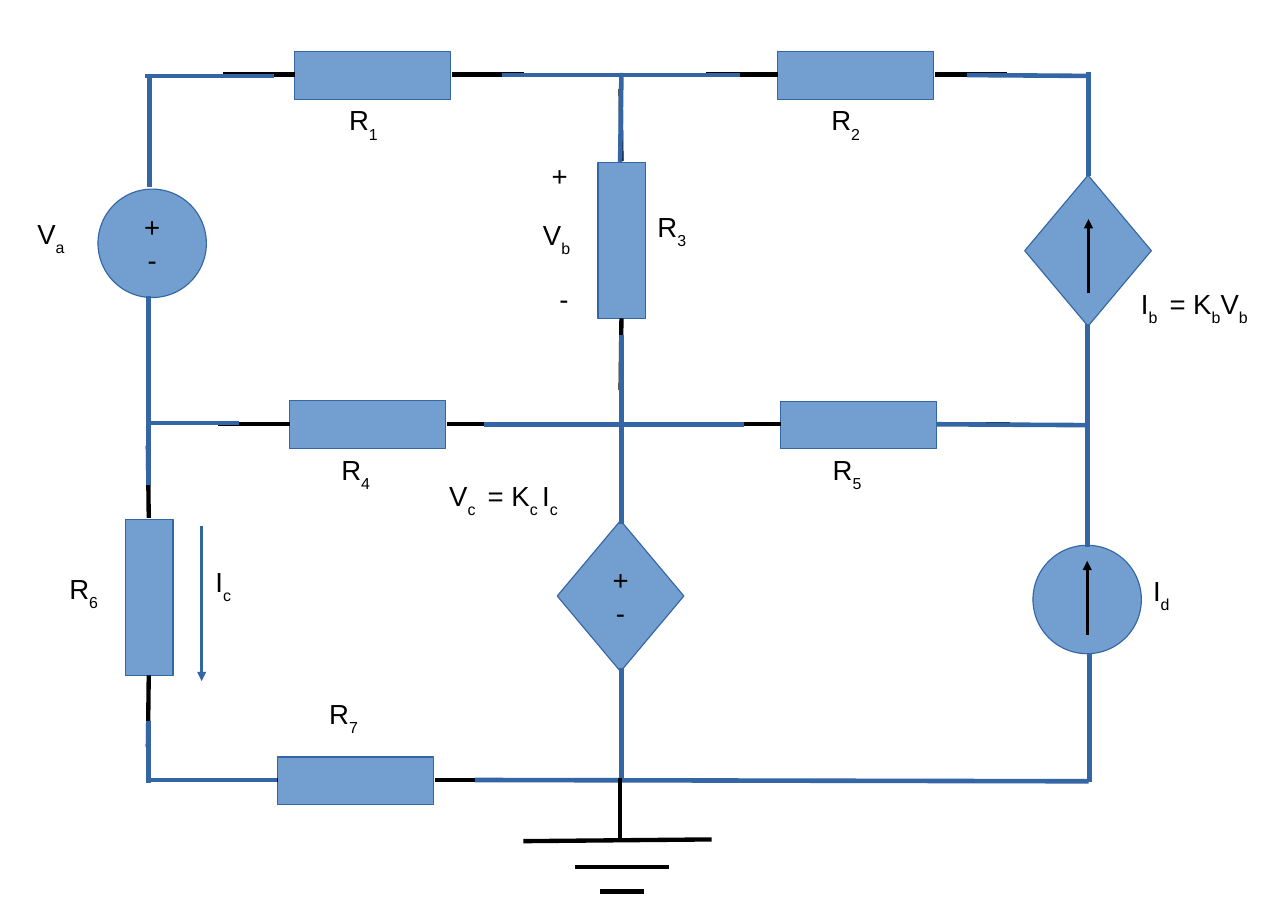
from dataclasses import dataclass

import lxml.etree
import pptx
import pptx.dml.color
import pptx.enum.shapes
import pptx.enum.text
import pptx.oxml.ns
import pptx.shapes.autoshape
import pptx.slide
import pptx.text.text
import pptx.util

BLACK = pptx.dml.color.RGBColor(0x00, 0x00, 0x00)
FILL_BLUE = pptx.dml.color.RGBColor(0x72, 0x9F, 0xCF)
LINE_BLUE = pptx.dml.color.RGBColor(0x34, 0x65, 0xA4)

Cm = pptx.util.Cm
Kind = pptx.enum.shapes.MSO_SHAPE

HAIRLINE = 0
LEAD_WIDTH = 2.83
WIRE_WIDTH = 3
RESISTOR_LENGTH = 3.6
RESISTOR_BREADTH = 1.1
DIAMOND_SIZE = (2.92, 3.48)
CIRCLE_SIZE = (2.5, 2.5)


@dataclass(frozen=True)
class Resistor:
    x: float
    y: float
    vertical: bool = False


@dataclass(frozen=True)
class Source:
    kind: Kind
    x: float
    y: float
    size: tuple[float, float]
    polarity: str = ""


@dataclass(frozen=True)
class Segment:
    x1: float
    y1: float
    x2: float
    y2: float


@dataclass(frozen=True)
class Label:
    x: float
    y: float
    wording: tuple[str, ...]
    width: float = 1.63


SOURCES = [
    Source(Kind.DIAMOND, 14.31, 13.74, DIAMOND_SIZE, "+\n-"),
    Source(Kind.OVAL, 25.07, 13.82, CIRCLE_SIZE),
    Source(Kind.DIAMOND, 25.09, 5.78, DIAMOND_SIZE),
    Source(Kind.OVAL, 3.51, 5.61, CIRCLE_SIZE, "+\n-"),
]

CURRENT_ARROWS = [
    Segment(25.07, 14.63, 25.07, 12.93),
    Segment(25.1, 6.76, 25.1, 5.05),
]

BRANCH_ARROW = Segment(4.65, 12.12, 4.65, 15.7)

RESISTORS = [
    Resistor(8.59, 1.74),
    Resistor(19.72, 1.74),
    Resistor(8.47, 9.79),
    Resistor(19.8, 9.8),
    Resistor(8.19, 18),
    Resistor(3.44, 13.78, vertical=True),
    Resistor(14.34, 5.55, vertical=True),
]

WIRES = [
    Segment(3.45, 4.32, 3.45, 1.75),
    Segment(3.35, 1.75, 6.32, 1.75),
    Segment(3.43, 11.18, 3.43, 6.83),
    Segment(3.43, 18.06, 3.43, 16.61),
    Segment(3.4, 17.98, 6.38, 17.98),
    Segment(11.15, 9.78, 17.15, 9.78),
    Segment(14.33, 12.07, 14.33, 7.72),
    Segment(11.58, 1.73, 17.07, 1.73),
    Segment(14.3, 3.73, 14.33, 1.68),
    Segment(10.95, 17.98, 25.1, 18.01),
    Segment(14.33, 18.01, 14.33, 15.39),
    Segment(25.12, 18.03, 25.12, 15.06),
    Segment(25.07, 12.6, 25.07, 7.47),
    Segment(21.59, 9.78, 25.1, 9.8),
    Segment(25.1, 4.06, 25.1, 1.65),
    Segment(22.3, 1.73, 25.1, 1.75),
    Segment(3.43, 9.75, 5.51, 9.75),
]

GROUND = [
    Segment(16.41, 19.35, 12.07, 19.39),
    Segment(13.26, 19.99, 15.42, 19.99),
    Segment(13.84, 20.55, 14.86, 20.55),
    Segment(14.3, 19.33, 14.3, 17.93),
]

LABELS = [
    Label(7.8, 2.26, ("R", "1")),
    Label(18.92, 2.26, ("R", "2")),
    Label(14.91, 4.72, ("R", "3")),
    Label(7.62, 10.31, ("R", "4")),
    Label(18.95, 10.31, ("R", "5")),
    Label(1.35, 13.06, ("R", "6")),
    Label(7.34, 15.95, ("R", "7")),
    Label(26.34, 13.11, ("I", "d")),
    Label(10.11, 10.92, ("V", "c ", " = K", "c ", "I", "c"), 4.32),
    Label(0.61, 4.88, ("V", "a")),
    Label(4.72, 12.9, ("I", "c")),
    Label(12.65, 6.38, ("-",)),
    Label(12.47, 3.53, ("+",)),
    Label(12.27, 4.9, ("V", "b")),
    Label(26.06, 6.48, ("I", "b ", " = K", "b", "V", "b"), 3.6),
]


def style_span(span: pptx.text.text._Run) -> None:
    span.font.name = "Arial"
    span.font.size = pptx.util.Pt(18)
    span.font.color.rgb = BLACK


def draw_shape(page: pptx.slide.Slide, kind: Kind, x: float, y: float,
               width: float, height: float) -> pptx.shapes.autoshape.Shape:
    shape = page.shapes.add_shape(
        kind, Cm(x - width / 2), Cm(y - height / 2), Cm(width), Cm(height))
    shape.shadow.inherit = False
    shape.fill.solid()
    shape.fill.fore_color.rgb = FILL_BLUE
    shape.line.color.rgb = LINE_BLUE
    shape.line.width = pptx.util.Pt(HAIRLINE)
    return shape


def draw_line(page: pptx.slide.Slide, segment: Segment, color: pptx.dml.color.RGBColor,
              width: float, arrow: bool = False) -> None:
    line = page.shapes.add_connector(
        pptx.enum.shapes.MSO_CONNECTOR.STRAIGHT,
        Cm(segment.x1), Cm(segment.y1), Cm(segment.x2), Cm(segment.y2))
    line.line.color.rgb = color
    line.line.width = pptx.util.Pt(width)
    properties = line.element.spPr
    if arrow:
        outline = properties.find(pptx.oxml.ns.qn("a:ln"))
        lxml.etree.SubElement(outline, pptx.oxml.ns.qn("a:tailEnd"), type="triangle")
    lxml.etree.SubElement(properties, pptx.oxml.ns.qn("a:effectLst"))


def draw_source(page: pptx.slide.Slide, source: Source) -> None:
    shape = draw_shape(page, source.kind, source.x, source.y, *source.size)
    if source.polarity:
        frame = shape.text_frame
        frame.word_wrap = False
        frame.vertical_anchor = pptx.enum.text.MSO_ANCHOR.MIDDLE
        frame.text = source.polarity
        for para in frame.paragraphs:
            para.alignment = pptx.enum.text.PP_ALIGN.CENTER
            style_span(para.runs[0])


def draw_resistor(page: pptx.slide.Slide, resistor: Resistor) -> None:
    x, y = resistor.x, resistor.y
    size = (RESISTOR_LENGTH, RESISTOR_BREADTH)
    draw_shape(page, Kind.RECTANGLE, x, y, *(size[::-1] if resistor.vertical else size))
    near_side = 1 if resistor.vertical else -1
    for side, start, end in ((near_side, 1.79, 3.44), (-near_side, 1.84, 3.5)):
        if resistor.vertical:
            lead = Segment(x - 0.01, y + side * start, x - 0.03, y + side * end)
        else:
            lead = Segment(x + side * start, y - 0.02, x + side * end, y - 0.02)
        draw_line(page, lead, BLACK, LEAD_WIDTH)


def draw_label(page: pptx.slide.Slide, label: Label) -> None:
    box = page.shapes.add_textbox(Cm(label.x), Cm(label.y), Cm(label.width), Cm(1.5))
    frame = box.text_frame
    frame.word_wrap = True
    frame.auto_size = pptx.enum.text.MSO_AUTO_SIZE.SHAPE_TO_FIT_TEXT
    para = frame.paragraphs[0]
    for index, wording in enumerate(label.wording):
        span = para.add_run()
        span.text = wording
        style_span(span)
        if index % 2:
            span._r.get_or_add_rPr().set("baseline", "-33000")


def main() -> None:
    deck = pptx.Presentation()
    deck.slide_width, deck.slide_height = Cm(29.7), Cm(21)
    page = deck.slides.add_slide(deck.slide_layouts[6])
    for source in SOURCES:
        draw_source(page, source)
    for arrow in CURRENT_ARROWS:
        draw_line(page, arrow, BLACK, HAIRLINE, arrow=True)
    for resistor in RESISTORS:
        draw_resistor(page, resistor)
    for wire in WIRES:
        draw_line(page, wire, LINE_BLUE, WIRE_WIDTH)
    for label in LABELS:
        draw_label(page, label)
    draw_line(page, BRANCH_ARROW, LINE_BLUE, HAIRLINE, arrow=True)
    for bar in GROUND:
        draw_line(page, bar, BLACK, LEAD_WIDTH)
    deck.save("out.pptx")


if __name__ == "__main__":
    main()
